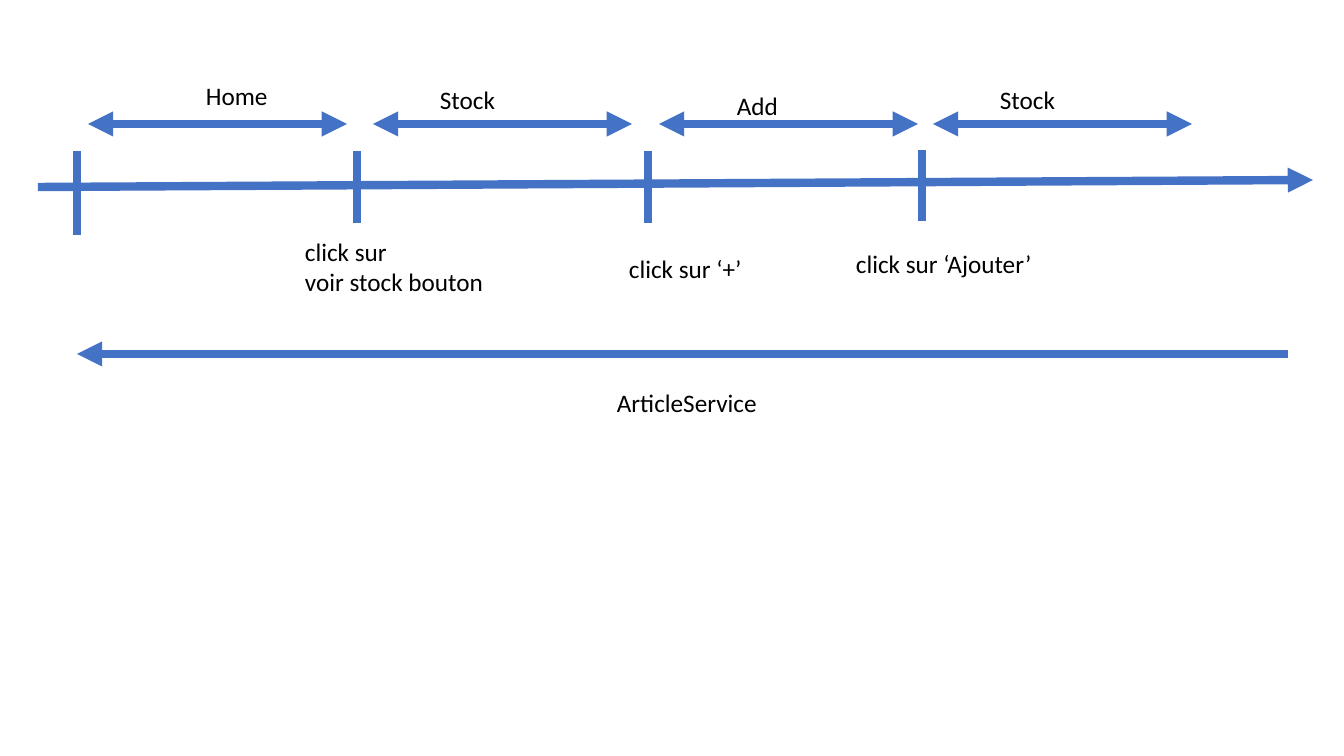
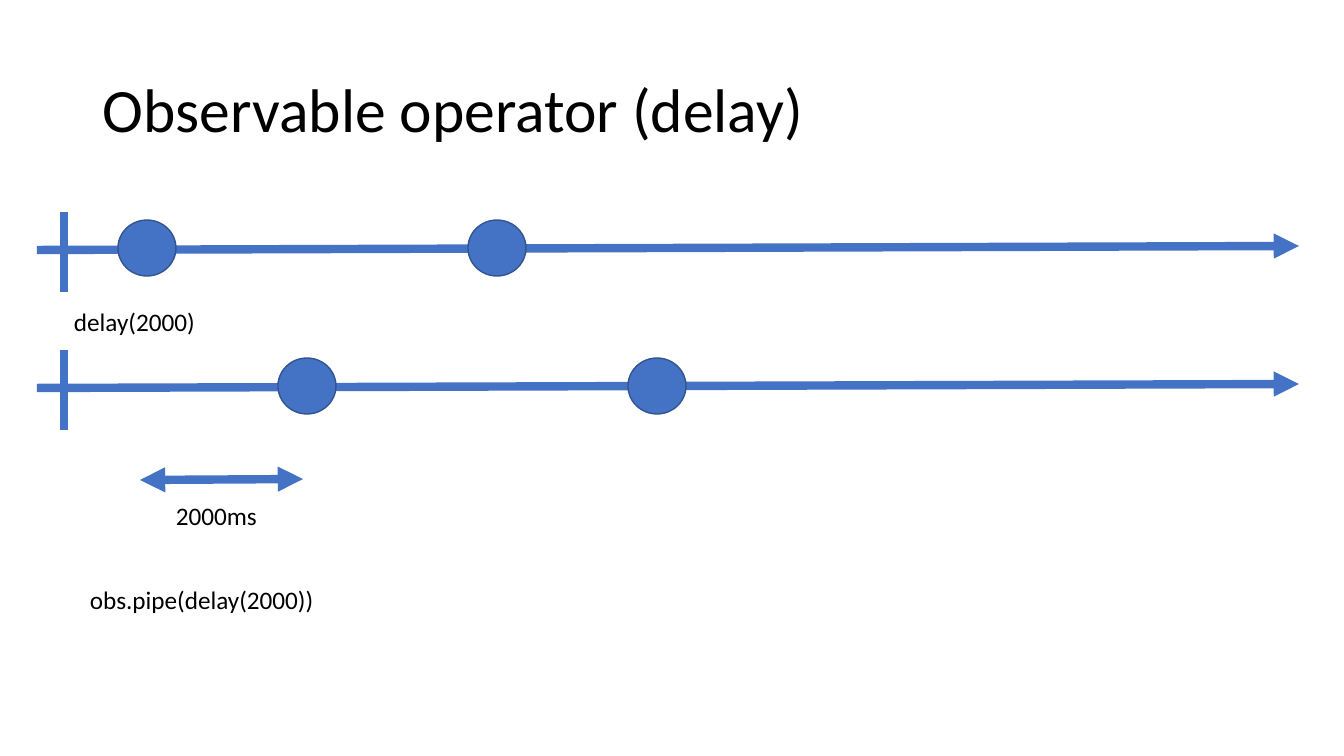
"""Build two timeline slides: a page navigation flow and the delay operator."""
from dataclasses import dataclass

from lxml import etree
from pptx import Presentation
from pptx import util as u
from pptx.dml import color
from pptx.enum import shapes, text
from pptx.oxml import ns

PX = 12192000 / 1344


@dataclass(frozen=True)
class Theme:
    accent: color.RGBColor = color.RGBColor(0x44, 0x72, 0xC4)
    outline: color.RGBColor = color.RGBColor(0x32, 0x54, 0x91)
    ink: color.RGBColor = color.RGBColor(0, 0, 0)
    font: str = "Calibri"
    title_size: int = 44
    label_size: int = 18
    stroke: int = 6
    event_outline: int = 1


theme = Theme()


def draw_line(slide, *ends, arrows=()):
    line = slide.shapes.add_connector(
        shapes.MSO_CONNECTOR.STRAIGHT, *(round(end * PX) for end in ends))
    line.line.color.rgb = theme.accent
    line.line.width = u.Pt(theme.stroke)
    properties = line.element.spPr
    for arrow in arrows:
        etree.SubElement(properties.find(ns.qn("a:ln")), ns.qn(f"a:{arrow}End"), type="triangle")
    etree.SubElement(properties, ns.qn("a:effectLst"))


def add_text(slide, wording, left, top, width, height=40, size=theme.label_size):
    box = slide.shapes.add_textbox(*(round(side * PX) for side in (left, top, width, height)))
    frame = box.text_frame
    frame.word_wrap = False
    frame.auto_size = text.MSO_AUTO_SIZE.SHAPE_TO_FIT_TEXT
    frame.text = wording
    for paragraph in frame.paragraphs:
        paragraph.font.name = theme.font
        paragraph.font.size = u.Pt(size)
        paragraph.font.color.rgb = theme.ink
    return frame


deck = Presentation()
deck.slide_width, deck.slide_height = round(1344 * PX), round(756 * PX)
blank = deck.slide_layouts[6]
both_ends = ("head", "tail")

navigation = deck.slides.add_slide(blank)
draw_line(navigation, 38, 187, 1313, 180, arrows=["tail"])
for x, top, bottom in [(77, 151, 235), (357, 151, 223), (648, 151, 223), (922, 150, 221)]:
    draw_line(navigation, x, top, x, bottom)

page_span = 259
for page, start, left, top, width in [
    ("Home", 88, 196, 75, 83),
    ("Stock", 373, 430, 79, 76),
    ("Add", 659, 727, 85, 61),
    ("Stock", 933, 990, 79, 76),
]:
    draw_line(navigation, start, 124, start + page_span, 124, arrows=both_ends)
    add_text(navigation, page, left, top, width)

add_text(navigation, "click sur\nvoir stock bouton", 295, 231, 201, 72)
add_text(navigation, "click sur ‘+’", 619, 248, 134)
add_text(navigation, "click sur ‘Ajouter’", 846, 243, 197)
draw_line(navigation, 77, 354, 1288, 354, arrows=["head"])
add_text(navigation, "ArticleService", 607, 382, 161)

operator = deck.slides.add_slide(blank)
title = add_text(operator, "Observable operator (delay)", 93, 40, 1159, 146, theme.title_size)
title.word_wrap = True
title.auto_size = text.MSO_AUTO_SIZE.NONE
title.vertical_anchor = text.MSO_ANCHOR.MIDDLE
title.paragraphs[0].line_spacing = 0.9

stream_gap = 138
delay_shift = 160
for stream in range(2):
    drop = stream * stream_gap
    draw_line(operator, 37, 250 + drop, 1299, 246 + drop, arrows=["tail"])
    draw_line(operator, 64, 212 + drop, 64, 292 + drop)
    for emitted in (118, 468):
        event = operator.shapes.add_shape(
            shapes.MSO_SHAPE.OVAL, round((emitted + stream * delay_shift) * PX),
            round((220 + drop) * PX), round(58 * PX), round(56 * PX))
        event.shadow.inherit = False
        event.fill.solid()
        event.fill.fore_color.rgb = theme.accent
        event.line.color.rgb = theme.outline
        event.line.width = u.Pt(theme.event_outline)

add_text(operator, "delay(2000)", 64, 301, 143)
draw_line(operator, 140, 480, 303, 479, arrows=both_ends)
add_text(operator, "2000ms", 166, 495, 102)
add_text(operator, "obs.pipe(delay(2000))", 80, 579, 247)

deck.save("out.pptx")
